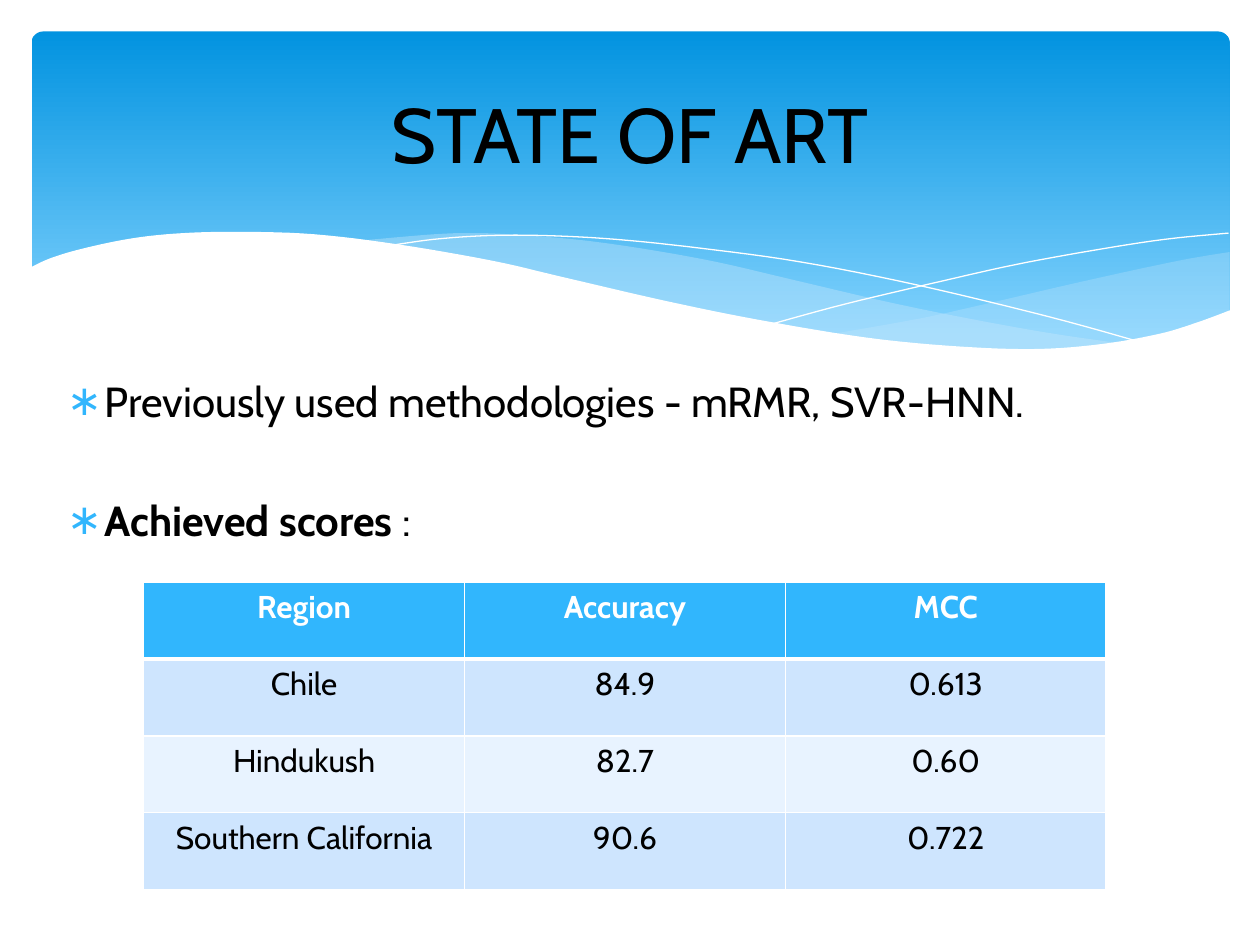
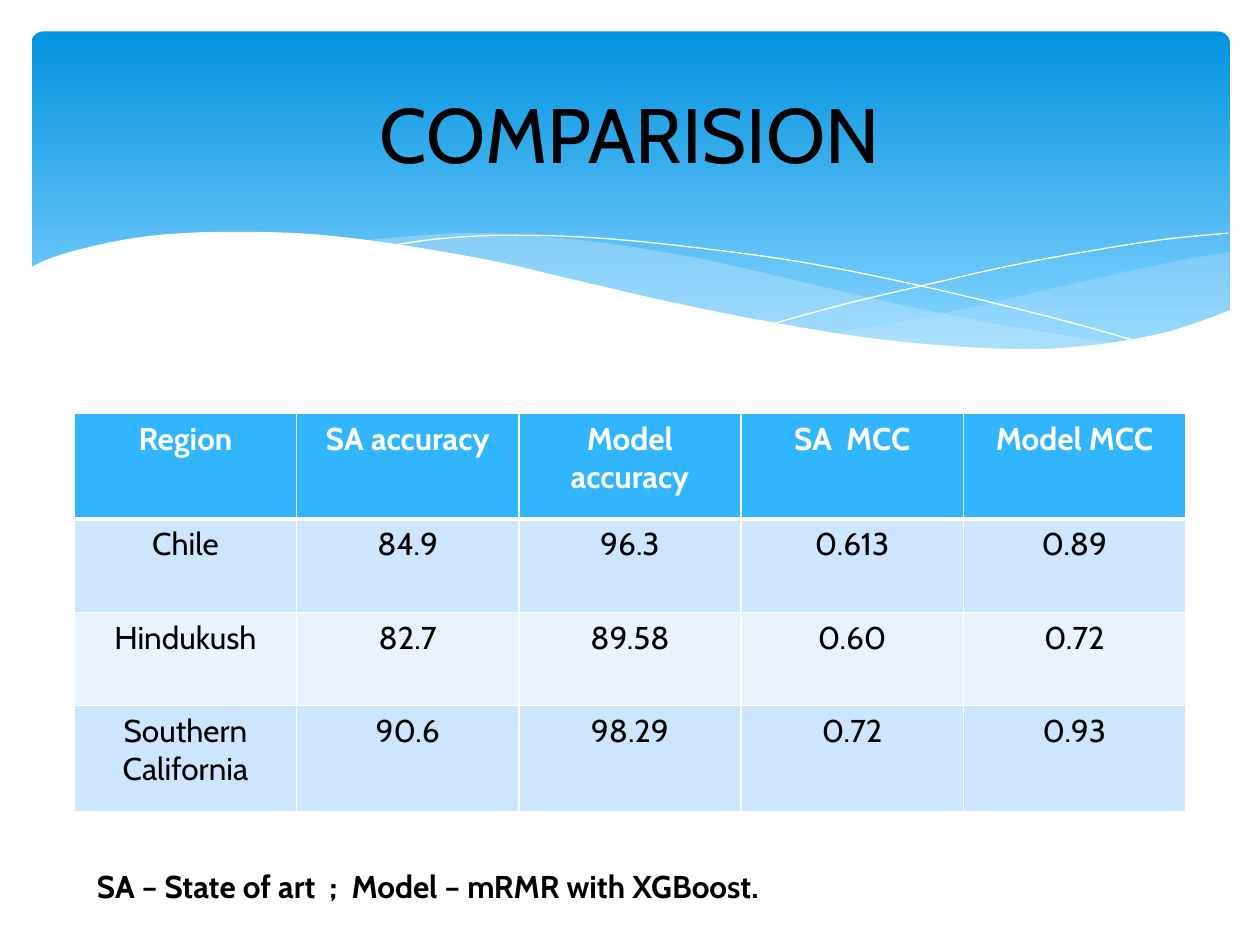
"""Build two slides on earthquake prediction scores: state of art and comparison."""
from lxml import etree
from pptx import Presentation
from pptx.dml.color import RGBColor
from pptx.enum import shapes, text
from pptx.oxml import ns
from pptx.util import Inches, Pt

FONT = "Cabin"
HUES = {
    "ink": "000000", "white": "FFFFFF", "head": "31B6FD",
    "odd": "CEE5FE", "even": "E8F3FF",
    "deep": "0293E0", "sky": "83D3FE", "mist": "C6E7FC",
}

POINTS = [
    [("Previously used methodologies - mRMR, SVR-HNN.", False)],
    [("Achieved scores", True), (" :", False)],
]
STATE = [
    ("Region", "Accuracy", "MCC"),
    ("Chile", "84.9", "0.613"),
    ("Hindukush", "82.7", "0.60"),
    ("Southern California", "90.6", "0.722"),
]
COMPARE = [
    ("Region", "SA accuracy", "Model accuracy", "SA  MCC", "Model MCC"),
    ("Chile", "84.9", "96.3", "0.613", "0.89"),
    ("Hindukush", "82.7", "89.58", "0.60", "0.72"),
    ("Southern California", "90.6", "98.29", "0.72", "0.93"),
]
NOTE = "SA – State of art  ;  Model – mRMR with XGBoost."

RIGHT_TOP = [(9.76, 2), (9.35, 2.07), (8.61, 2.23), (7.79, 2.42), (7.29, 2.53), (6.61, 2.65)]
RIGHT_LOW = [(6.61, 2.65), (7.05, 2.71), (7.57, 2.76), (8.03, 2.78), (8.54, 2.76),
             (8.97, 2.7), (9.35, 2.62), (9.76, 2.47)]
MID_TOP = [(8.93, 2.73), (8.37, 2.65), (7.75, 2.54), (7.06, 2.4), (6.29, 2.22),
           (5.69, 2.08), (5.14, 1.98), (4.65, 1.91), (4.2, 1.87), (3.8, 1.85),
           (3.44, 1.86), (2.86, 1.91)]
MID_LOW = [(2.86, 1.91), (3.42, 1.99), (4.04, 2.11), (4.49, 2.22), (5.3, 2.4),
           (6.01, 2.55), (6.65, 2.66), (7.22, 2.74), (7.73, 2.77), (8.18, 2.78),
           (8.57, 2.77), (8.93, 2.73)]
FALL = [(3.09, 1.95), (3.44, 1.9), (3.87, 1.87), (4.33, 1.87), (4.89, 1.9),
        (5.56, 1.97), (6.36, 2.08), (7.27, 2.26), (8.31, 2.51), (9.07, 2.72)]
RISE = [(6.13, 2.57), (6.72, 2.41), (7.48, 2.23), (8.06, 2.1), (8.66, 1.99),
        (9.24, 1.9), (9.75, 1.85)]
HILL = [(0.23, 2.13), (0.4, 2.05), (0.67, 1.97), (1.06, 1.89), (1.46, 1.85),
        (1.93, 1.84), (2.5, 1.86), (3.16, 1.94), (3.91, 2.07), (4.47, 2.2),
        (5.29, 2.39), (6.03, 2.54), (6.88, 2.68), (7.61, 2.75), (8.23, 2.77),
        (8.75, 2.73), (9.2, 2.65), (9.5, 2.56), (9.77, 2.46)]


def hue(name):
    return RGBColor.from_string(HUES[name])


def style(run, size, color="ink", bold=False):
    run.font.name, run.font.size, run.font.bold = FONT, Pt(size), bold
    run.font.color.rgb = hue(color)


def curve(knots, steps=6):
    """Return points on a smooth line through the knots."""
    ends = [knots[0], *knots, knots[-1]]
    spots = []
    for a, b, c, d in zip(ends, ends[1:], ends[2:], ends[3:]):
        for step in range(steps):
            t = step / steps
            spots.append(tuple(
                q + t / 2 * (r - p + t * (2 * p - 5 * q + 4 * r - s
                                          + t * (3 * (q - r) + s - p)))
                for p, q, r, s in zip(a, b, c, d)))
    return spots + [knots[-1]]


def wave(slide, spots, color=None, alpha=100):
    """Draw a filled wave, or a thin white line if no color is given."""
    spots = [(Inches(x), Inches(y)) for x, y in spots]
    pen = slide.shapes.build_freeform(*spots[0])
    pen.add_line_segments(spots[1:], close=color is not None)
    shape = pen.convert_to_shape()
    shape.shadow.inherit = False
    if color:
        shape.fill.solid()
        shape.fill.fore_color.rgb = hue(color)
        tint = shape.fill._xPr.find(".//" + ns.qn("a:srgbClr"))
        etree.SubElement(tint, ns.qn("a:alpha"), val=str(alpha * 1000))
        shape.line.fill.background()
    else:
        shape.fill.background()
        shape.line.color.rgb = hue("white")
        shape.line.width = 0
    return shape


def band(slide, master):
    """Draw the blue band and move it to the master, behind its text."""
    box = slide.shapes.add_shape(
        shapes.MSO_SHAPE.ROUNDED_RECTANGLE,
        Inches(0.25), Inches(0.25), Inches(9.51), Inches(2.7))
    box.adjustments[0] = 0.034
    box.shadow.inherit = False
    box.line.fill.background()
    box.fill.gradient()
    box.fill.gradient_angle = 270
    for stop, place, color in zip(box.fill.gradient_stops, (0, 0.9), ("deep", "sky")):
        stop.position = place
        stop.color.rgb = hue(color)
    parts = [
        box,
        wave(slide, curve(RIGHT_TOP) + curve(RIGHT_LOW), "mist", 29),
        wave(slide, curve(MID_TOP) + curve(MID_LOW), "mist", 40),
        wave(slide, curve(FALL)),
        wave(slide, curve(RISE)),
        wave(slide, curve(HILL) + [(9.77, 3.29), (0.23, 3.29)], "white"),
    ]
    for i, part in enumerate(parts):
        part.element.find(".//" + ns.qn("p:cNvPr")).set("id", str(100 + i))
        master.shapes.element.insert(2 + i, part.element)


def place(shape, left, top, width, height):
    shape.left, shape.top = Inches(left), Inches(top)
    shape.width, shape.height = Inches(width), Inches(height)


def head(slide, words):
    title = slide.shapes.title
    place(title, 0.5, 0.37, 9, 1.37)
    frame = title.text_frame
    frame.text = words
    frame.auto_size = text.MSO_AUTO_SIZE.NONE
    frame.vertical_anchor = text.MSO_ANCHOR.MIDDLE
    frame.paragraphs[0].alignment = text.PP_ALIGN.CENTER
    style(frame.paragraphs[0].runs[0], 44)


def bullets(slide, points):
    body = slide.placeholders[1]
    place(body, 0.43, 2.93, 9.13, 3.77)
    frame = body.text_frame
    frame.auto_size = text.MSO_AUTO_SIZE.NONE
    for i, parts in enumerate(points):
        para = frame.add_paragraph() if i else frame.paragraphs[0]
        para.space_before = Pt(39 if i else 5)
        for words, bold in parts:
            run = para.add_run()
            run.text = words
            style(run, 24, bold=bold)
        props = para._p.get_or_add_pPr()
        props.set("marL", str(Inches(0.3)))
        props.set("indent", str(Inches(-0.3)))
        color = etree.SubElement(props, ns.qn("a:buClr"))
        etree.SubElement(color, ns.qn("a:srgbClr"), val=HUES["head"])
        etree.SubElement(props, ns.qn("a:buFont"), typeface=FONT)
        etree.SubElement(props, ns.qn("a:buChar"), char="∗")


def edge(cell, row):
    """Give a cell white borders, thick between head and body."""
    thick = {"lnB": row == 0, "lnT": row == 1}
    for side in ("lnL", "lnR", "lnT", "lnB"):
        line = etree.SubElement(cell._tc.get_or_add_tcPr(), ns.qn("a:" + side),
                                w=str(Pt(3 if thick.get(side) else 1)))
        fill = etree.SubElement(line, ns.qn("a:solidFill"))
        etree.SubElement(fill, ns.qn("a:srgbClr"), val=HUES["white"])


def grid(slide, data, left, top, width, tall):
    table = slide.shapes.add_table(
        len(data), len(data[0]), Inches(left), Inches(top),
        Inches(width), Inches(sum(tall))).table
    for row, high in zip(table.rows, tall):
        row.height = Inches(high)
    for r, words in enumerate(data):
        for c, word in enumerate(words):
            cell = table.cell(r, c)
            edge(cell, r)
            cell.fill.solid()
            cell.fill.fore_color.rgb = hue("head" if r == 0 else "odd" if r % 2 else "even")
            cell.text_frame.text = word
            para = cell.text_frame.paragraphs[0]
            para.alignment = text.PP_ALIGN.CENTER
            style(para.runs[0], 18, "ink" if r else "white", r == 0)


def note(slide, words):
    box = slide.shapes.add_textbox(Inches(0.67), Inches(6.83), Inches(5.53), Inches(0.4))
    box.text_frame.word_wrap = False
    box.text_frame.text = words
    style(box.text_frame.paragraphs[0].runs[0], 18, bold=True)


def main():
    deck = Presentation()
    deck.slide_width, deck.slide_height = Inches(10), Inches(7.5)

    state = deck.slides.add_slide(deck.slide_layouts[1])
    band(state, deck.slide_master)
    head(state, "STATE OF ART")
    bullets(state, POINTS)
    grid(state, STATE, 1.14, 4.62, 7.64, [0.61] * 4)

    compare = deck.slides.add_slide(deck.slide_layouts[5])
    head(compare, "COMPARISION")
    grid(compare, COMPARE, 0.59, 3.28, 8.82, [0.84, 0.74, 0.74, 0.84])
    note(compare, NOTE)

    deck.save("out.pptx")


if __name__ == "__main__":
    main()
